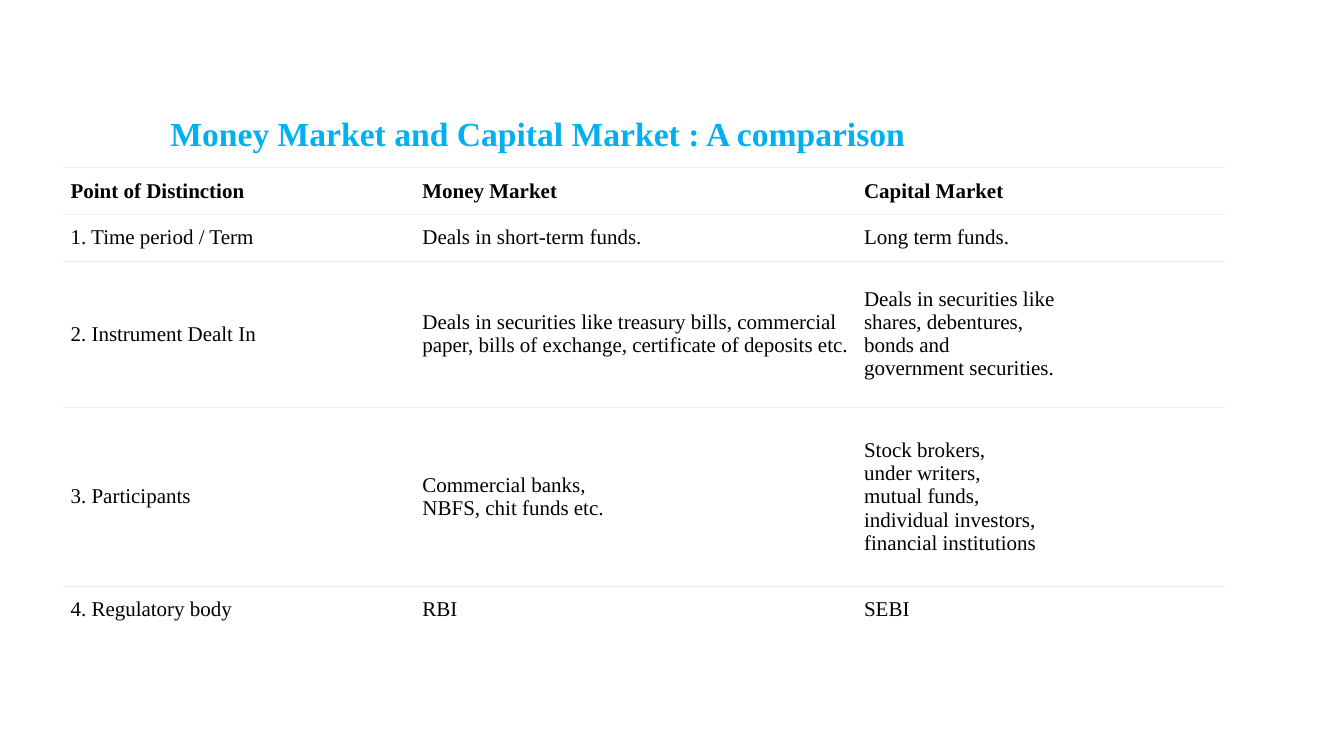
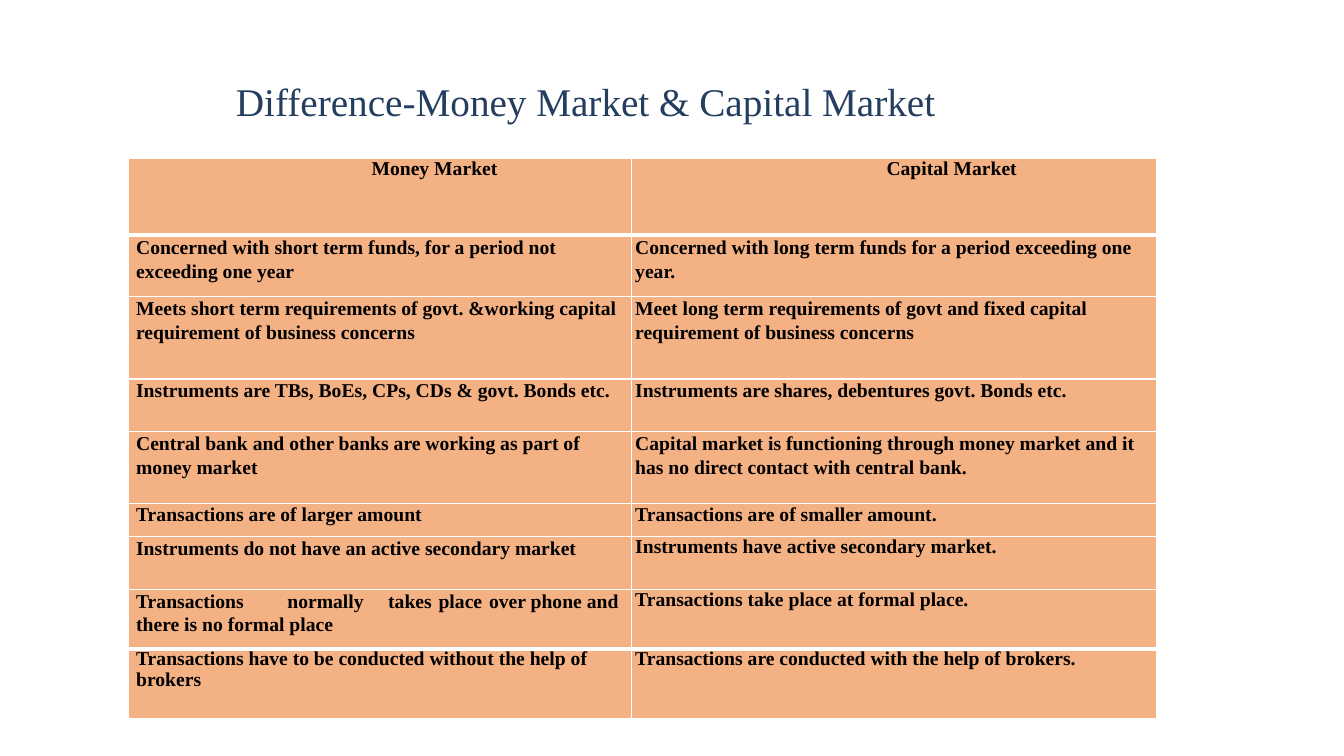
import copy
from dataclasses import dataclass

import pptx
import pptx.dml.color
import pptx.enum.text
import pptx.oxml
import pptx.oxml.ns
import pptx.util
from pptx.util import Inches

ALIGN = pptx.enum.text.PP_ALIGN
ANCHOR = pptx.enum.text.MSO_ANCHOR
qn = pptx.oxml.ns.qn


@dataclass(frozen=True)
class Theme:
    font: str = "Times New Roman"
    ink: str = "000000"
    sky: str = "00B0F0"
    navy: str = "233E5F"
    paper: str = "FFFFFF"
    rule: str = "EEEEEE"
    peach: str = "F4B183"
    comparison_title: int = 24
    difference_title: int = 28
    comparison_text: int = 15
    difference_text: int = 14
    hairline: float = 0.75
    thin: float = 1
    thick: float = 3


THEME = Theme()

COMPARISON_TITLE = "Money Market and Capital Market : A comparison"
COMPARISON_COLUMNS = [3.52, 4.38, 3.63]
COMPARISON_ROWS = [
    (0.47, "Point of Distinction", "Money Market", "Capital Market"),
    (0.46, "1. Time period / Term", "Deals in short-term funds.", "Long term funds."),
    (1.45, "2. Instrument Dealt In",
     "Deals in securities like treasury bills, commercial paper, bills of exchange, "
     "certificate of deposits etc.",
     "Deals in securities like\nshares, debentures,\nbonds and\ngovernment securities."),
    (1.78, "3. Participants", "Commercial banks,\nNBFS, chit funds etc.",
     "Stock brokers,\nunder writers,\nmutual funds,\nindividual investors,\n"
     "financial institutions"),
    (0.46, "4. Regulatory body", "RBI", "SEBI"),
]

DIFFERENCE_TITLE = "Difference-Money Market & Capital Market"
DIFFERENCE_COLUMNS = [4.99, 5.21]
HEADER_INDENTS = [1.09, 1.15]
BODY_INDENTS = [0.08, 0.04]
PHONE_TABS = [1.58, 2.58, 3.08, 3.58]
EXACT = pptx.util.Pt(15)
# Row height, line spacing of each cell, text of each cell
DIFFERENCE_ROWS = [
    (0.76, (None, None), ("Money Market", "Capital Market")),
    (0.61, (1.1, 1.1),
     ("Concerned with short term funds, for a period not exceeding one year",
      "Concerned with long term funds for a period exceeding one year.")),
    (0.82, (1.1, 1.1),
     ("Meets short term requirements of govt. &working capital requirement of business concerns",
      "Meet long term requirements of govt and fixed capital requirement of business concerns")),
    (0.52, (1.07, 1.07),
     ("Instruments are TBs, BoEs, CPs, CDs & govt. Bonds etc.",
      "Instruments are shares, debentures govt. Bonds etc.")),
    (0.72, (1.1, 1.1),
     ("Central bank and other banks are working as part of money market",
      "Capital market is functioning through money market and it has no direct contact "
      "with central bank.")),
    (0.32, (None, None),
     ("Transactions are of larger amount", "Transactions are of smaller amount.")),
    (0.53, (1.1, None),
     ("Instruments do not have an active secondary market",
      "Instruments have active secondary market.")),
    (0.59, (1.07, None),
     ("Transactions\tnormally\ttakes\tplace\tover phone and there is no formal place",
      "Transactions take place at formal place.")),
    (0.69, (EXACT, EXACT),
     ("Transactions have to be conducted without the help of brokers",
      "Transactions are conducted with the help of brokers.")),
]


def rgb(color):
    return pptx.dml.color.RGBColor.from_string(color)


def apply(target, values):
    for name, value in values.items():
        setattr(target, name, value)


def paint(target, color):
    target.fill.solid()
    target.fill.fore_color.rgb = rgb(color)


def write(paragraph, text, size, color, bold):
    """Fill a paragraph, giving its line breaks the same format as its runs."""
    paragraph.text = text
    for run in paragraph.runs:
        apply(run.font, dict(name=THEME.font, size=pptx.util.Pt(size), bold=bold))
        run.font.color.rgb = rgb(color)
    for line_break in paragraph._p.findall(qn("a:br")):
        line_break.append(copy.deepcopy(paragraph.runs[0].font._element))


def set_margins(target, left, top, right, bottom):
    apply(target, dict(margin_left=Inches(left), margin_top=Inches(top),
                       margin_right=Inches(right), margin_bottom=Inches(bottom)))


def set_borders(cell, color, **widths):
    """Draw the sides L, R, T, B that have a width and clear the others."""
    properties = cell._tc.get_or_add_tcPr()
    for position, side in enumerate("LRTB"):
        width = widths.get(side)
        line = pptx.oxml.parse_xml(
            f'<a:ln{side} {pptx.oxml.ns.nsdecls("a")}/>')
        if width:
            line.set("w", str(int(pptx.util.Pt(width))))
            fill = line.makeelement(qn("a:solidFill"), {})
            fill.append(line.makeelement(qn("a:srgbClr"), {"val": color}))
        else:
            fill = line.makeelement(qn("a:noFill"), {})
        line.append(fill)
        properties.insert(position, line)


def set_indent(paragraph, indent, tabs=()):
    properties = paragraph._p.get_or_add_pPr()
    properties.set("marL", str(int(Inches(indent))))
    properties.set("indent", "0")
    if tabs:
        stops = properties.makeelement(qn("a:tabLst"), {})
        for tab in tabs:
            stops.append(stops.makeelement(
                qn("a:tab"), {"pos": str(int(Inches(tab))), "algn": "l"}))
        properties.append(stops)


def add_titled_slide(deck, title, box, margins, anchor, size, color, bold):
    slide = deck.slides.add_slide(deck.slide_layouts[5])
    heading = slide.shapes.title
    apply(heading, dict(zip(("left", "top", "width", "height"), map(Inches, box))))
    frame = heading.text_frame
    apply(frame, dict(word_wrap=True, vertical_anchor=anchor,
                      auto_size=pptx.enum.text.MSO_AUTO_SIZE.NONE))
    set_margins(frame, *margins)
    frame.paragraphs[0].alignment = ALIGN.LEFT
    write(frame.paragraphs[0], title, size, color, bold)
    return slide


def add_grid(slide, left, top, widths, heights):
    """Add a table without style bands, sized by its columns and rows."""
    grid = slide.shapes.add_table(
        len(heights), len(widths), Inches(left), Inches(top),
        Inches(sum(widths)), Inches(sum(heights))).table
    apply(grid, dict(first_row=False, horz_banding=False))
    for column, width in zip(grid.columns, widths):
        column.width = Inches(width)
    for row, height in zip(grid.rows, heights):
        row.height = Inches(height)
    return grid


def build_comparison(deck):
    slide = add_titled_slide(
        deck, COMPARISON_TITLE, (1.69, 0.91, 9.03, 0.68), (0, 0.21, 0, 0.07),
        ANCHOR.MIDDLE, THEME.comparison_title, THEME.sky, True)
    paint(slide.shapes.title, THEME.paper)
    grid = add_grid(slide, 0.62, 1.66, COMPARISON_COLUMNS,
                    [row[0] for row in COMPARISON_ROWS])
    last = len(COMPARISON_ROWS) - 1
    for r, (_, *texts) in enumerate(COMPARISON_ROWS):
        for c, text in enumerate(texts):
            cell = grid.cell(r, c)
            set_margins(cell, 0.05 if c else 0.08, 0.05, 0.05, 0.05)
            cell.vertical_anchor = ANCHOR.MIDDLE
            set_borders(cell, THEME.rule, T=THEME.hairline,
                        B=THEME.hairline if r < last else None)
            cell.fill.background()
            write(cell.text_frame.paragraphs[0], text,
                  THEME.comparison_text, THEME.ink, r == 0)


def build_difference(deck):
    slide = add_titled_slide(
        deck, DIFFERENCE_TITLE, (1.27, 0.6, 10.2, 0.77), (1.07, 0.17, 0.1, 0.05),
        ANCHOR.TOP, THEME.difference_title, THEME.navy, False)
    grid = add_grid(slide, 1.27, 1.57, DIFFERENCE_COLUMNS,
                    [row[0] for row in DIFFERENCE_ROWS])
    last = len(DIFFERENCE_ROWS) - 1
    thick_edges = {1, last}
    for r, (_, spacings, texts) in enumerate(DIFFERENCE_ROWS):
        indents = BODY_INDENTS if r else HEADER_INDENTS
        for c, text in enumerate(texts):
            cell = grid.cell(r, c)
            set_margins(cell, 0, 0, 0, 0)
            set_borders(cell, THEME.paper, L=THEME.thin, R=THEME.thin,
                        T=THEME.thick if r in thick_edges else THEME.thin,
                        B=THEME.thick if r + 1 in thick_edges else THEME.thin)
            paint(cell, THEME.peach)
            paragraph = cell.text_frame.paragraphs[0]
            set_indent(paragraph, indents[c], PHONE_TABS if "\t" in text else ())
            apply(paragraph, dict(alignment=ALIGN.LEFT if r else ALIGN.CENTER,
                                  line_spacing=spacings[c]))
            write(paragraph, text, THEME.difference_text, THEME.ink, True)


def main():
    deck = pptx.Presentation()
    apply(deck, dict(slide_width=Inches(13.33), slide_height=Inches(7.5)))
    build_comparison(deck)
    build_difference(deck)
    deck.save("out.pptx")


if __name__ == "__main__":
    main()
